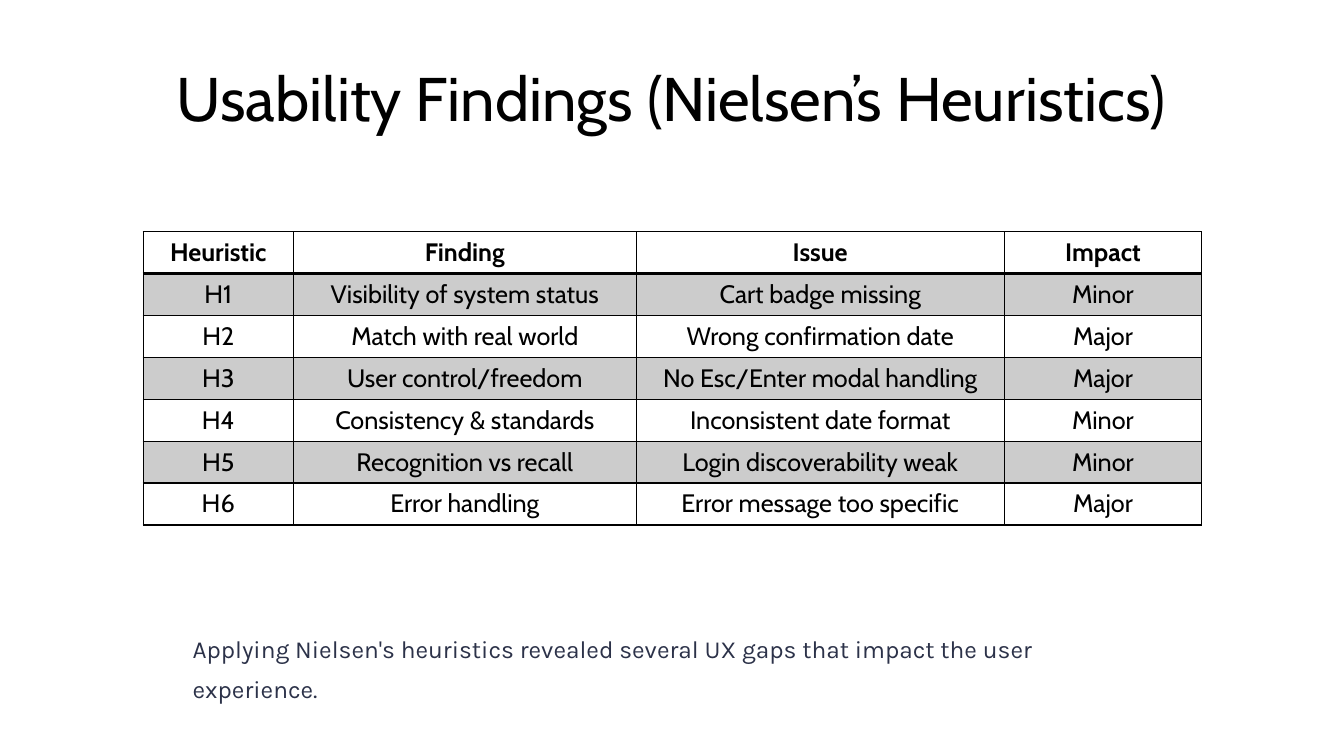
from dataclasses import dataclass

from lxml.etree import SubElement
from pptx import Presentation
from pptx.dml.color import RGBColor
from pptx.enum.text import MSO_ANCHOR as Anchor, MSO_AUTO_SIZE as AutoSize, PP_ALIGN as Align
from pptx.oxml import parse_xml
from pptx.oxml.ns import nsdecls, qn
from pptx.slide import Slide
from pptx.table import _Cell as Cell
from pptx.text.text import TextFrame, _Paragraph as Paragraph
from pptx.util import Inches, Pt


@dataclass(frozen=True)
class TextStyle:
    font: str
    size: float
    color: str
    bold: bool = False


@dataclass(frozen=True)
class Theme:
    title: TextStyle = TextStyle("Cabin", 44, "000000")
    header: TextStyle = TextStyle("Cabin", 18, "000000", True)
    body: TextStyle = TextStyle("Cabin", 18, "000000")
    caption: TextStyle = TextStyle("Karla", 17.5, "2C3249")
    border: str = "000000"
    band: str = "000000"
    band_opacity: int = 20
    thin: float = 1
    thick: float = 2


@dataclass(frozen=True)
class Finding:
    heuristic: str
    finding: str
    issue: str
    impact: str

    def texts(self) -> tuple[str, ...]:
        return self.heuristic, self.finding, self.issue, self.impact


THEME = Theme()
HEADER = Finding("Heuristic", "Finding", "Issue", "Impact")
FINDINGS = [
    Finding("H1", "Visibility of system status", "Cart badge missing", "Minor"),
    Finding("H2", "Match with real world", "Wrong confirmation date", "Major"),
    Finding("H3", "User control/freedom", "No Esc/Enter modal handling", "Major"),
    Finding("H4", "Consistency & standards", "Inconsistent date format", "Minor"),
    Finding("H5", "Recognition vs recall", "Login discoverability weak", "Minor"),
    Finding("H6", "Error handling", "Error message too specific", "Major"),
]
COLUMN_WIDTHS = (1.49, 3.4, 3.65, 1.96)
TABLE_HEIGHT = 2.91


def write(para: Paragraph, text: str, style: TextStyle, align: Align) -> None:
    para.text = text
    para.alignment = align
    for span in para.runs:
        span.font.name = style.font
        span.font.size = Pt(style.size)
        span.font.bold = style.bold
        span.font.color.rgb = RGBColor.from_string(style.color)


def set_margins(frame: TextFrame, margin: float) -> None:
    frame.margin_left = frame.margin_right = Inches(margin)
    frame.margin_top = frame.margin_bottom = Inches(margin)


def shade(cell: Cell) -> None:
    """Fill the cell with the translucent band colour."""
    cell.fill.solid()
    cell.fill.fore_color.rgb = RGBColor.from_string(THEME.band)
    color = cell._tc.tcPr.find(qn("a:solidFill"))[0]
    SubElement(color, qn("a:alpha"), val=str(THEME.band_opacity * 1000))


def set_borders(cell: Cell, top: float, bottom: float) -> None:
    widths = {"lnL": THEME.thin, "lnR": THEME.thin, "lnT": top, "lnB": bottom}
    properties = cell._tc.get_or_add_tcPr()
    for position, (side, width) in enumerate(widths.items()):
        properties.insert(position, parse_xml(
            f'<a:{side} {nsdecls("a")} w="{Pt(width)}"><a:solidFill>'
            f'<a:srgbClr val="{THEME.border}"/></a:solidFill></a:{side}>'))


def add_title(page: Slide, text: str) -> None:
    title = page.shapes.title
    title.left, title.top = Inches(1.62), Inches(0.55)
    title.width, title.height = Inches(10.1), Inches(0.84)
    frame = title.text_frame
    frame.auto_size = AutoSize.NONE
    frame.vertical_anchor = Anchor.TOP
    set_margins(frame, 0.13)
    write(frame.paragraphs[0], text, THEME.title, Align.LEFT)
    frame.paragraphs[0].line_spacing = 0.9


def add_findings(page: Slide) -> None:
    rows = [HEADER, *FINDINGS]
    table = page.shapes.add_table(
        len(rows), len(COLUMN_WIDTHS), Inches(1.42), Inches(2.3),
        Inches(sum(COLUMN_WIDTHS)), Inches(TABLE_HEIGHT)).table
    table.horz_banding = False
    for column, width in zip(table.columns, COLUMN_WIDTHS):
        column.width = Inches(width)
    for index, row in enumerate(rows):
        table.rows[index].height = Inches(TABLE_HEIGHT / len(rows))
        style = THEME.body if index else THEME.header
        top = THEME.thick if index == 1 else THEME.thin
        bottom = THEME.thin if index else THEME.thick
        for column, text in enumerate(row.texts()):
            cell = table.cell(index, column)
            cell.vertical_anchor = Anchor.MIDDLE
            write(cell.text_frame.paragraphs[0], text, style, Align.CENTER)
            if index % 2:
                shade(cell)
            else:
                cell.fill.background()
            set_borders(cell, top, bottom)


def add_caption(page: Slide, text: str) -> None:
    box = page.shapes.add_textbox(Inches(1.91), Inches(6.19), Inches(9.51), Inches(0.4))
    frame = box.text_frame
    frame.word_wrap = False
    set_margins(frame, 0)
    write(frame.paragraphs[0], text, THEME.caption, Align.LEFT)
    frame.paragraphs[0].line_spacing = Pt(28.5)


def main() -> None:
    deck = Presentation()
    deck.slide_width, deck.slide_height = Inches(13.33), Inches(7.5)
    page = deck.slides.add_slide(deck.slide_layouts.get_by_name("Title Only"))
    add_title(page, "Usability Findings (Nielsen’s Heuristics)")
    add_caption(page, "Applying Nielsen's heuristics revealed several UX gaps "
                      "that impact the user experience.")
    add_findings(page)
    deck.save("out.pptx")


if __name__ == "__main__":
    main()
